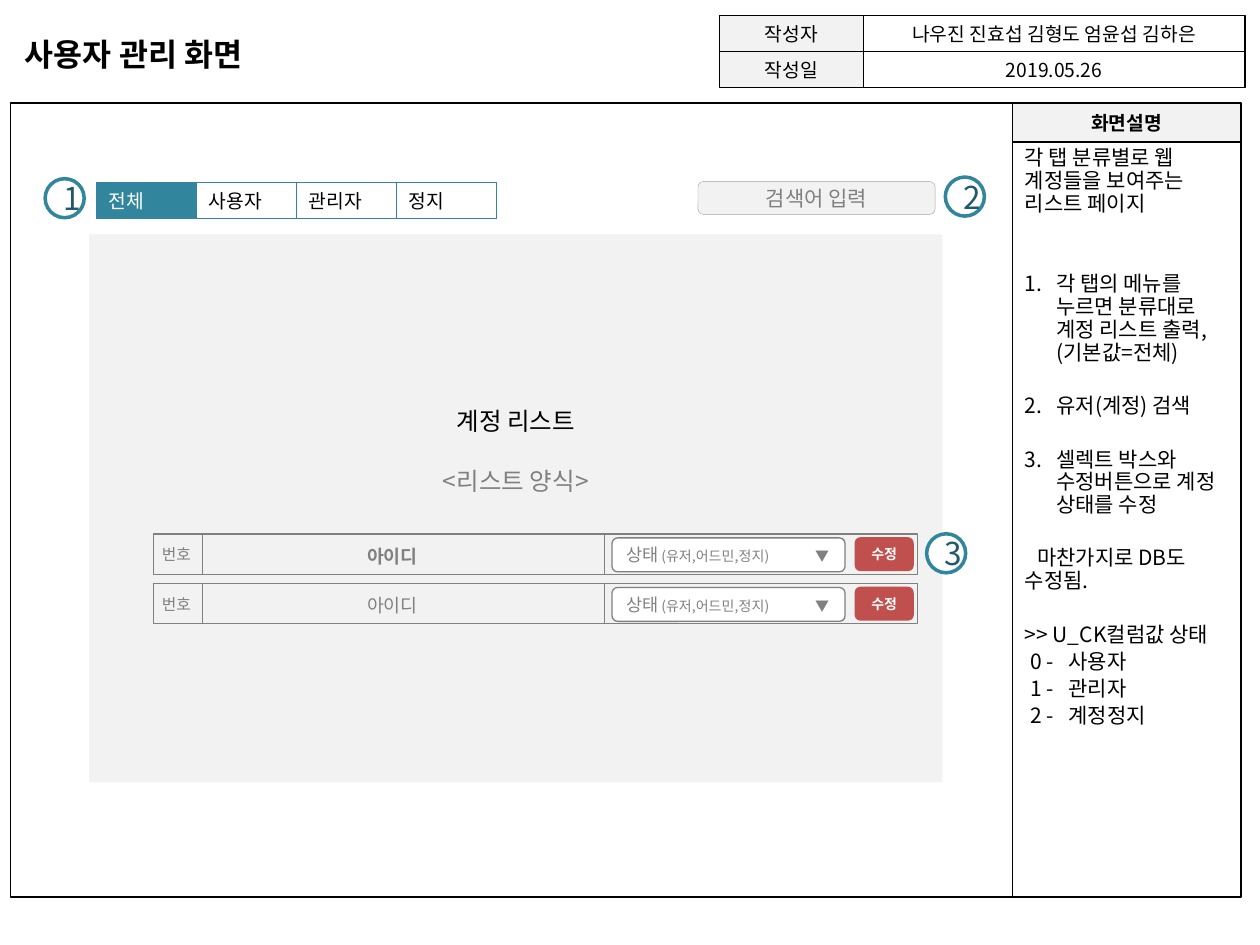
import pptx
import pptx.dml.color
import pptx.enum.shapes
import pptx.enum.text
import pptx.oxml.ns
import pptx.util
from lxml import etree

Pt = pptx.util.Pt
RGB = pptx.dml.color.RGBColor
SHAPE = pptx.enum.shapes.MSO_SHAPE
ALIGN = pptx.enum.text.PP_ALIGN
ANCHOR = pptx.enum.text.MSO_ANCHOR
qn = pptx.oxml.ns.qn

BLACK = RGB(0x00, 0x00, 0x00)
WHITE = RGB(0xFF, 0xFF, 0xFF)
PALE = RGB(0xF2, 0xF2, 0xF2)
GRAY = RGB(0x80, 0x80, 0x80)
SILVER = RGB(0xA6, 0xA6, 0xA6)
TEAL = RGB(0x31, 0x85, 0x9C)
DARK_TEAL = RGB(0x21, 0x59, 0x68)
RED = RGB(0xC0, 0x50, 0x4D)
FONT = "Noto Sans CJK KR"


def style_font(font, size, color=BLACK, bold=False, name=FONT):
    font.name, font.size, font.bold = name, Pt(size), bold
    font.color.rgb = color


def add_panel(page, box, fill=None, line=None, weight=0.75, kind=SHAPE.RECTANGLE):
    panel = page.shapes.add_shape(kind, *[Pt(value) for value in box])
    panel.shadow.inherit = False
    if fill is None:
        panel.fill.background()
    else:
        panel.fill.solid()
        panel.fill.fore_color.rgb = fill
    if line is None:
        panel.line.fill.background()
    else:
        panel.line.color.rgb = line
        panel.line.width = Pt(weight)
    return panel


def write(shape, text, size, color=BLACK, bold=False, align=ALIGN.CENTER, name=FONT):
    frame = shape.text_frame
    frame.word_wrap = True
    frame.vertical_anchor = ANCHOR.MIDDLE
    para = frame.paragraphs[0]
    para.text = text
    para.alignment = align
    style_font(para.font, size, color, bold, name)


def add_label(page, box, text, size, color=BLACK, bold=False):
    label = page.shapes.add_textbox(*[Pt(value) for value in box])
    write(label, text, size, color, bold, ALIGN.LEFT)


def add_tab_stop(para, position):
    tabs = etree.SubElement(para._p.get_or_add_pPr(), qn("a:tabLst"))
    etree.SubElement(tabs, qn("a:tab"), pos=str(Pt(position)), algn="l")


def add_divider(page, x, top, bottom):
    divider = page.shapes.add_connector(
        pptx.enum.shapes.MSO_CONNECTOR.STRAIGHT, Pt(x), Pt(top), Pt(x), Pt(bottom))
    divider.line.color.rgb = GRAY
    divider.line.width = Pt(0.75)
    etree.SubElement(divider._element.spPr, qn("a:effectLst"))


def add_badge(page, left, top, number):
    badge = add_panel(page, (left, top, 22.3, 22.3), WHITE, TEAL, 2, SHAPE.OVAL)
    write(badge, number, 18, DARK_TEAL)


def add_header(page, left, top):
    """Title and the author and date grid."""
    add_label(page, (7.2, 16.5, 172, 29), "사용자 관리 화면", 18, bold=True)
    rows = [("작성자", "나우진 진효섭 김형도 엄윤섭 김하은"), ("작성일", "2019.05.26")]
    height, name_width, value_width = 20.6, 82.2, 218.2
    for index, (name, value) in enumerate(rows):
        y = top + index * height
        write(add_panel(page, (left, y, name_width, height), PALE, BLACK), name, 11)
        cell = add_panel(page, (left + name_width, y, value_width, height), None, BLACK)
        write(cell, value, 11)


def add_description(page, left, top, width, height):
    """Side column: heading and notes."""
    # Text, space before, left margin, first-line indent, list number
    notes = [
        ("각 탭 분류별로 웹 계정들을 보여주는 리스트 페이지", 0, 0, 0, None),
        ("각 탭의 메뉴를 누르면 분류대로 계정 리스트 출력, (기본값=전체)", 33, 18, -18, 1),
        ("유저(계정) 검색", 17.5, 18, -18, 2),
        ("셀렉트 박스와 수정버튼으로 계정 상태를 수정", 17.5, 18, -18, 3),
        ("마찬가지로 DB도 수정됨.", 17.5, 0, 7, None),
        (">> U_CK컬럼값 상태", 17.5, 0, 0, None),
        ("0 -\t사용자", 2.4, 25, -22, None),
        ("1 -\t관리자", 2.4, 25, -22, None),
        ("2 -\t계정정지", 2.4, 25, -22, None),
    ]
    heading_height = 22.3
    body = add_panel(page, (left, top + 20.9, width, height - 20.9), None, BLACK, 1)
    frame = body.text_frame
    frame.word_wrap = True
    frame.vertical_anchor = ANCHOR.TOP
    frame.margin_top = frame.margin_bottom = Pt(4.3)
    for index, (text, before, margin, indent, number) in enumerate(notes):
        para = frame.paragraphs[0] if index == 0 else frame.add_paragraph()
        para.text = text
        para.alignment = ALIGN.LEFT
        para.line_spacing = Pt(13)
        para.space_before = Pt(before)
        properties = para._p.get_or_add_pPr()
        properties.set("marL", str(Pt(margin)))
        properties.set("indent", str(Pt(indent)))
        if number:
            etree.SubElement(properties, qn("a:buAutoNum"),
                             type="arabicPeriod", startAt=str(number))
        if "\t" in text:
            add_tab_stop(para, margin)
        style_font(para.font, 12)
    heading = add_panel(page, (left, top, width, heading_height), PALE, BLACK, 1)
    write(heading, "화면설명", 11, bold=True, name="Arial")


def add_toolbar(page, left, top):
    """Category tabs and search field."""
    step, height = 57.1, 20.7
    for index, text in enumerate(["전체", "사용자", "관리자", "정지"]):
        active = index == 0
        tab = add_panel(page, (left + index * step, top, step, height),
                        TEAL if active else WHITE, TEAL)
        write(tab, text, 11, WHITE if active else BLACK, align=ALIGN.LEFT)
    search = add_panel(page, (398.9, top - 0.5, 135.5, 18.8), PALE, SILVER, 0.25,
                       SHAPE.ROUNDED_RECTANGLE)
    write(search, "검색어 입력", 12, GRAY)


def add_account_row(page, left, top, width, height, bold):
    """One account: number, ID, state selector and edit button."""
    for offset in (28.2, 257.9):
        add_divider(page, left + offset, top, top + height)
    add_panel(page, (left, top, width, height), None, GRAY)
    add_label(page, (left - 2.2, top + 2.6, 36, 18), "번호", 9, GRAY)
    add_label(page, (left + 115, top + 2.6, 52.5, 20), "아이디", 10.5, GRAY, bold)

    selector = add_panel(page, (left + 262, top + 2.2, 133.2, 19.4), WHITE, GRAY,
                         kind=SHAPE.ROUNDED_RECTANGLE)
    frame = selector.text_frame
    frame.word_wrap = True
    frame.margin_right = 0
    frame.vertical_anchor = ANCHOR.MIDDLE
    para = frame.paragraphs[0]
    para.alignment = ALIGN.LEFT
    add_tab_stop(para, 108)
    for text, size in [("상태", 10), (" (유저,어드민,정지)\t▼", 8)]:
        span = para.add_run()
        span.text = text
        style_font(span.font, size, GRAY)

    button = add_panel(page, (left + 400.7, top + 1.8, 33.8, 19.4), RED,
                       kind=SHAPE.ROUNDED_RECTANGLE)
    write(button, "수정", 8, WHITE, True)


def add_account_list(page, left, top, width, height):
    """Gray list area with its captions and sample rows."""
    area = add_panel(page, (left, top, width, height), PALE)
    write(area, "계정 리스트", 14)
    frame = area.text_frame
    frame.vertical_anchor = ANCHOR.TOP
    frame.margin_top = Pt(98)
    caption = frame.add_paragraph()
    caption.text = "<리스트 양식>"
    caption.alignment = ALIGN.CENTER
    caption.space_before = Pt(17)
    style_font(caption.font, 14, GRAY)
    for para in frame.paragraphs:
        para.line_spacing = Pt(17)
    for index in range(2):
        add_account_row(page, left + 36.7, top + 171.2 + index * 28.3,
                        436.5, 23, index == 0)


def main():
    deck = pptx.Presentation()
    deck.slide_width, deck.slide_height = Pt(720), Pt(540)
    page = deck.slides.add_slide(deck.slide_layouts[6])
    add_description(page, 578.6, 59, 130.4, 453.6)
    add_panel(page, (6, 59, 572.6, 453.6), WHITE, BLACK, 1)
    add_header(page, 411.1, 9)
    add_account_list(page, 51, 134, 487.5, 313)
    add_toolbar(page, 55.2, 104.2)
    for left, top, number in [(25.8, 102.1, "1"), (540.2, 101.2, "2"), (529.5, 305, "3")]:
        add_badge(page, left, top, number)
    deck.save("out.pptx")


if __name__ == "__main__":
    main()
